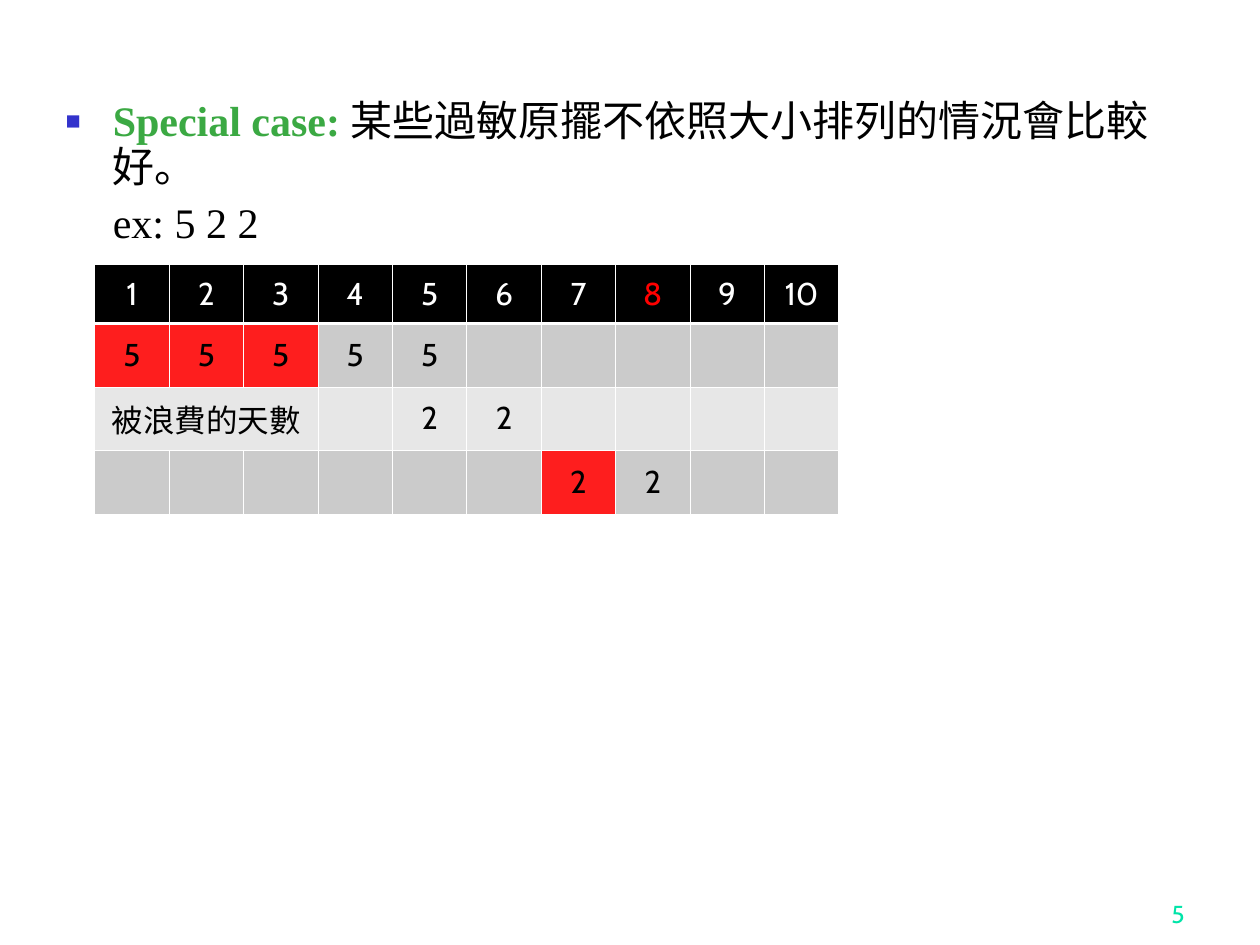
import lxml.etree
import pptx
import pptx.dml.color
import pptx.enum.text
import pptx.oxml.ns
import pptx.util

Cm, Pt = pptx.util.Cm, pptx.util.Pt
ALIGN = pptx.enum.text.PP_ALIGN
ANCHOR = pptx.enum.text.MSO_ANCHOR


def rgb(hex_code):
    return pptx.dml.color.RGBColor.from_string(hex_code)


def add_xml(parent, tag, **attributes):
    """Append a DrawingML element to parent and return it."""
    return lxml.etree.SubElement(parent, pptx.oxml.ns.qn("a:" + tag), attributes)


presentation = pptx.Presentation()
presentation.slide_width, presentation.slide_height = Cm(25.4), Cm(19.05)
slide = presentation.slides.add_slide(presentation.slide_layouts[1])
empty_title = slide.shapes.title.element
empty_title.getparent().remove(empty_title)

# Explanation
explanation = slide.placeholders[1]
explanation.left, explanation.top = Cm(1.07), Cm(1.9)
explanation.width, explanation.height = Cm(22.43), Cm(15.62)
explanation.text_frame.auto_size = pptx.enum.text.MSO_AUTO_SIZE.NONE
special_case = explanation.text_frame.paragraphs[0]
example = explanation.text_frame.add_paragraph()

for text, color, bold in [("Special case: ", "3BA943", True),
                          ("某些過敏原擺不依照大小排列的情況會比較好。", "000000", False)]:
    run = special_case.add_run()
    run.text = text
    run.font.color.rgb = rgb(color)
    run.font.bold = bold
example.text = "ex: 5 2 2"

hanging = Cm(0.95)
properties = special_case._p.get_or_add_pPr()
properties.set("marL", str(hanging))
properties.set("indent", str(-hanging))
add_xml(add_xml(properties, "buClr"), "srgbClr", val="3333CC")
add_xml(properties, "buSzPct", val="60000")
add_xml(properties, "buChar", char="■")

properties = example._p.get_or_add_pPr()
properties.set("marL", str(hanging))
properties.set("indent", "0")
add_xml(properties, "buNone")

for paragraph, space_before in [(special_case, 0), (example, 6)]:
    paragraph.line_spacing = 0.9
    paragraph.space_before = Pt(space_before)
    paragraph.font.size = Pt(24)
    paragraph.font.name = "Times New Roman"
example.font.color.rgb = rgb("000000")

# Schedule by day
days = 10
schedule = [
    [str(day) for day in range(1, days + 1)],
    ["5"] * 5 + [""] * 5,
    ["被浪費的天數", "", "", "", "2", "2", "", "", "", ""],
    [""] * 6 + ["2", "2", "", ""],
]
row_heights = [Cm(1.19), Cm(1.28), Cm(1.28), Cm(1.28)]
row_fills = ["000000", "CBCBCB", "E7E7E7", "CBCBCB"]
wasted_days = {(1, 0), (1, 1), (1, 2), (3, 6)}
last_day = (0, 7)

table = slide.shapes.add_table(len(schedule), days, Cm(1.91), Cm(5.33),
                               Cm(15), sum(row_heights)).table
for column in table.columns:
    column.width = Cm(1.5)
table.cell(2, 0).merge(table.cell(2, 2))

for r, values in enumerate(schedule):
    table.rows[r].height = row_heights[r]
    for c, value in enumerate(values):
        cell = table.cell(r, c)
        cell.vertical_anchor = ANCHOR.MIDDLE
        for side in ("L", "R", "T", "B"):
            below_header = (r, side) in {(0, "B"), (1, "T")}
            border = add_xml(cell._tc.get_or_add_tcPr(), "ln" + side,
                             w=str(Pt(1.47 if below_header else 0.45)))
            add_xml(add_xml(border, "solidFill"), "srgbClr", val="FFFFFF")
        cell.fill.solid()
        cell.fill.fore_color.rgb = rgb("FE1E1E" if (r, c) in wasted_days else row_fills[r])

        paragraph = cell.text_frame.paragraphs[0]
        if value:
            paragraph.text = value
        paragraph.alignment = ALIGN.CENTER
        paragraph.font.name = "Cabin"
        paragraph.font.size = Pt(18)
        paragraph.font.bold = False
        if (r, c) == last_day:
            paragraph.font.color.rgb = rgb("FF0000")
        else:
            paragraph.font.color.rgb = rgb("FFFFFF" if r == 0 else "000000")

# Page number
page_number = slide.shapes.add_textbox(Cm(18.85), Cm(17.58), Cm(5.28), Cm(1.27)).text_frame
page_number.word_wrap = True
page_number.vertical_anchor = ANCHOR.BOTTOM
paragraph = page_number.paragraphs[0]
paragraph.text = "5"
paragraph.alignment = ALIGN.RIGHT
paragraph.font.name = "Cabin"
paragraph.font.size = Pt(14)
paragraph.font.color.rgb = rgb("00E4A8")

presentation.save("out.pptx")
